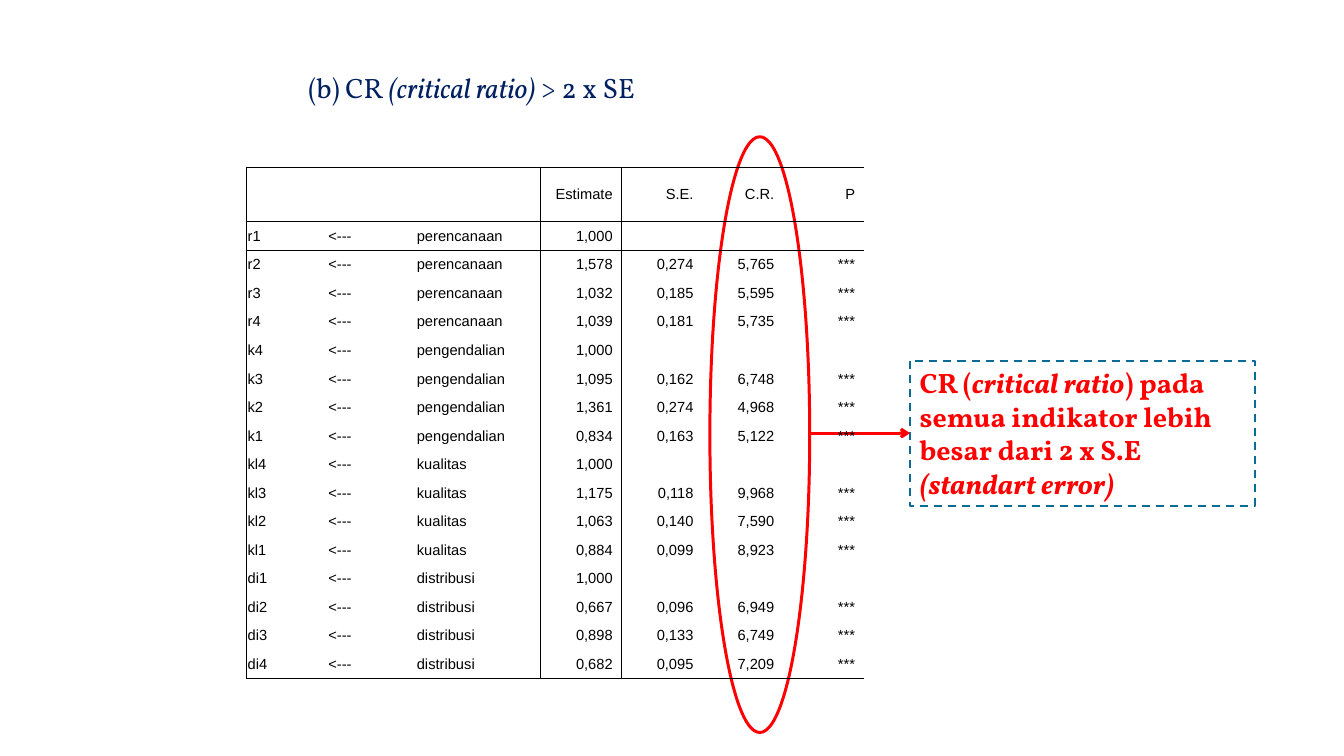
from dataclasses import dataclass

from lxml import etree
from pptx import Presentation
from pptx.dml.color import RGBColor
from pptx.enum.dml import MSO_LINE
from pptx.enum.shapes import MSO_CONNECTOR, MSO_SHAPE
from pptx.enum.text import MSO_ANCHOR, MSO_AUTO_SIZE, PP_ALIGN
from pptx.oxml.ns import qn
from pptx.util import Pt

LEFT, RIGHT = PP_ALIGN.LEFT, PP_ALIGN.RIGHT
TOP, MIDDLE = MSO_ANCHOR.TOP, MSO_ANCHOR.MIDDLE
FIXED = MSO_AUTO_SIZE.NONE
OVAL, RECT = MSO_SHAPE.OVAL, MSO_SHAPE.RECTANGLE
STRAIGHT, DASH = MSO_CONNECTOR.STRAIGHT, MSO_LINE.DASH


@dataclass(frozen=True)
class Theme:
    """Colours, fonts and sizes of the slide."""
    navy: str = "002060"
    red: str = "FF0000"
    teal: str = "0A6B94"
    black: str = "000000"
    serif: str = "Vollkorn"
    sans: str = "Arial"
    large: float = 21
    small: float = 11
    thick: float = 2.25
    thin: float = 1.5
    hair: float = 0.5


THEME = Theme()
PLAIN = "{2D5ABB26-0587-4C30-8999-92F81FD0307C}"
HEADS = ["", "", "", "Estimate", "S.E.", "C.R.", "P"]
GROUPS = {
    "perencanaan": [("r1", "1,000"), ("r2", "1,578", "0,274", "5,765"),
                    ("r3", "1,032", "0,185", "5,595"),
                    ("r4", "1,039", "0,181", "5,735")],
    "pengendalian": [("k4", "1,000"), ("k3", "1,095", "0,162", "6,748"),
                     ("k2", "1,361", "0,274", "4,968"),
                     ("k1", "0,834", "0,163", "5,122")],
    "kualitas": [("kl4", "1,000"), ("kl3", "1,175", "0,118", "9,968"),
                 ("kl2", "1,063", "0,140", "7,590"),
                 ("kl1", "0,884", "0,099", "8,923")],
    "distribusi": [("di1", "1,000"), ("di2", "0,667", "0,096", "6,949"),
                   ("di3", "0,898", "0,133", "6,749"),
                   ("di4", "0,682", "0,095", "7,209")],
}


def points(box):
    """Turn a tuple of numbers into lengths."""
    return [Pt(n) for n in box]


def assign(item, **values):
    """Set each named value on the item."""
    for name, value in values.items():
        setattr(item, name, value)


def write(para, parts, color, **style):
    """Add runs given as (text, italic) pairs."""
    for text, slant in parts:
        run = para.add_run()
        run.text = text
        assign(run.font, italic=slant, **style)
        run.font.color.rgb = RGBColor.from_string(color)


def stroke(line, color, width):
    """Give a line its colour and width."""
    line.color.rgb = RGBColor.from_string(color)
    line.width = Pt(width)


def add_title(slide, box):
    """Place the heading in the title placeholder."""
    title = slide.shapes.title
    title.left, title.top, title.width, title.height = points(box)
    frame = title.text_frame
    assign(frame, word_wrap=True, auto_size=FIXED, vertical_anchor=TOP)
    para = frame.paragraphs[0]
    para.alignment = LEFT
    props = para._p.get_or_add_pPr()
    props.set("marL", str(Pt(39)))
    props.set("indent", "0")
    write(para, [("(b) CR ", False), ("(critical ratio) ", True),
                 ("> 2 x SE", False)], THEME.navy, name=THEME.serif,
          size=Pt(THEME.large), bold=False)


def add_frame(slide, kind, box, color, width):
    """Draw an unfilled outline shape."""
    shape = slide.shapes.add_shape(kind, *points(box))
    shape.shadow.inherit = False
    shape.fill.background()
    stroke(shape.line, color, width)
    return shape


def add_ring(slide, box):
    """Circle the ratio column with a turned ellipse."""
    ring = add_frame(slide, OVAL, box, THEME.red, THEME.thick)
    ring.rotation = 90


def add_note(slide, box):
    """Place the dashed box that explains the ratio."""
    note = add_frame(slide, RECT, box, THEME.teal, THEME.thin)
    note.line.dash_style = DASH
    frame = note.text_frame
    assign(frame, word_wrap=True, auto_size=FIXED, vertical_anchor=TOP)
    para = frame.paragraphs[0]
    para.alignment = LEFT
    write(para, [("CR (", False), ("critical ratio", True),
                 (") pada semua indikator lebih besar dari 2 x S.E ", False),
                 ("(standart error)", True)], THEME.red, name=THEME.serif,
          size=Pt(THEME.large), bold=True)
    return note


def add_arrow(slide, start, note):
    """Lead from the ring to the left side of the note."""
    left, top = points(start)
    arrow = slide.shapes.add_connector(STRAIGHT, left, top, note.left, top)
    arrow.end_connect(note, 1)
    stroke(arrow.line, THEME.red, THEME.thick)
    etree.SubElement(arrow.line._get_or_add_ln(), qn("a:tailEnd"), type="arrow")
    etree.SubElement(arrow._element.spPr, qn("a:effectLst"))


def add_edges(cell, sides):
    """Rule the given sides of a cell."""
    props = cell._tc.get_or_add_tcPr()
    for side in sides:
        line = etree.SubElement(props, qn("a:ln" + side),
                                w=str(Pt(THEME.hair)))
        fill = etree.SubElement(line, qn("a:solidFill"))
        etree.SubElement(fill, qn("a:srgbClr"), val=THEME.black)


def list_rows():
    """Build the table rows from the groups."""
    rows = [HEADS]
    for group, items in GROUPS.items():
        for name, *nums in items:
            tail = nums + ["***"] if len(nums) == 3 else nums + [""] * 3
            rows.append([name, "<---", group, *tail])
    return rows


def fill_cell(cell, text, col, sides):
    """Format one cell and write its text."""
    assign(cell, vertical_anchor=MIDDLE, margin_top=Pt(0.75),
           margin_bottom=0, margin_left=Pt(6.5 if col == 2 else 0.75),
           margin_right=Pt(6.5 if col > 2 else 0.75))
    add_edges(cell, sides)
    cell.fill.background()
    para = cell.text_frame.paragraphs[0]
    para.alignment = RIGHT if col > 2 else LEFT
    if text:
        write(para, [(text, False)], THEME.black, name=THEME.sans,
              size=Pt(THEME.small))
    else:
        etree.SubElement(para._p, qn("a:endParaRPr"),
                         sz=str(int(THEME.small * 100)))


def add_grid(slide, box):
    """Place the table of estimates."""
    rows = list_rows()
    last, wide, head = len(rows) - 1, 99.4, 41
    grid = slide.shapes.add_table(len(rows), len(HEADS), *points(box)).table
    assign(grid, first_row=False, horz_banding=False)
    grid._tbl.tblPr.find(qn("a:tableStyleId")).text = PLAIN
    for col, part in enumerate(grid.columns):
        part.width = Pt(wide if col == 2 else (box[2] - wide) / 6)
    for row, texts in enumerate(rows):
        grid.rows[row].height = Pt(head if row == 0 else (box[3] - head) / last)
        for col, text in enumerate(texts):
            tests = {"L": col in (0, 3), "R": col == 2,
                     "T": row in (0, 1), "B": row in (0, last)}
            fill_cell(grid.cell(row, col), text, col,
                      [side for side, shown in tests.items() if shown])


def main():
    """Build and save the slide."""
    deck = Presentation()
    assign(deck, slide_width=Pt(1008), slide_height=Pt(567.36))
    slide = deck.slides.add_slide(deck.slide_layouts[5])
    add_title(slide, (185, 49.7, 699, 32.4))
    add_ring(slide, (346.3, 288.7, 447.1, 74.9))
    note = add_note(slide, (682.6, 270.7, 258.5, 108.7))
    add_arrow(slide, (607, 325.05), note)
    add_grid(slide, (185, 125.3, 463, 383.8))
    deck.save("out.pptx")


if __name__ == "__main__":
    main()
